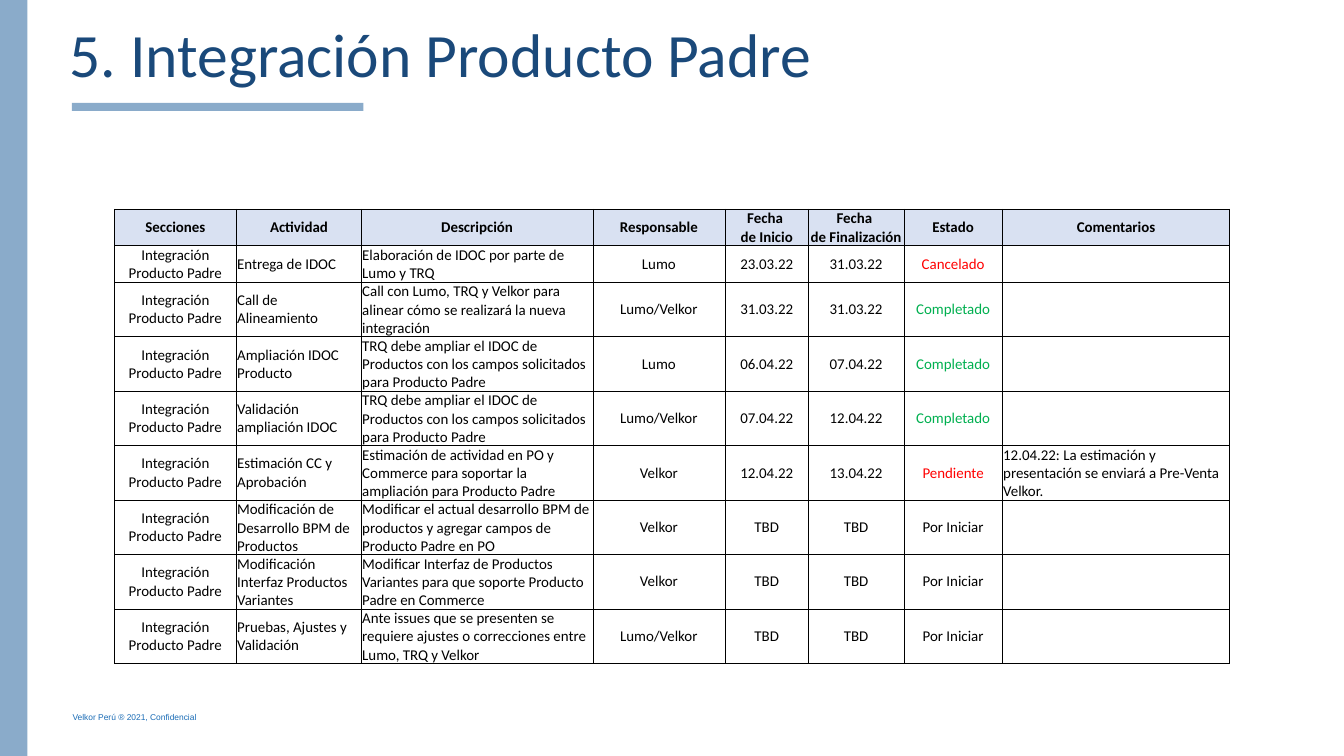
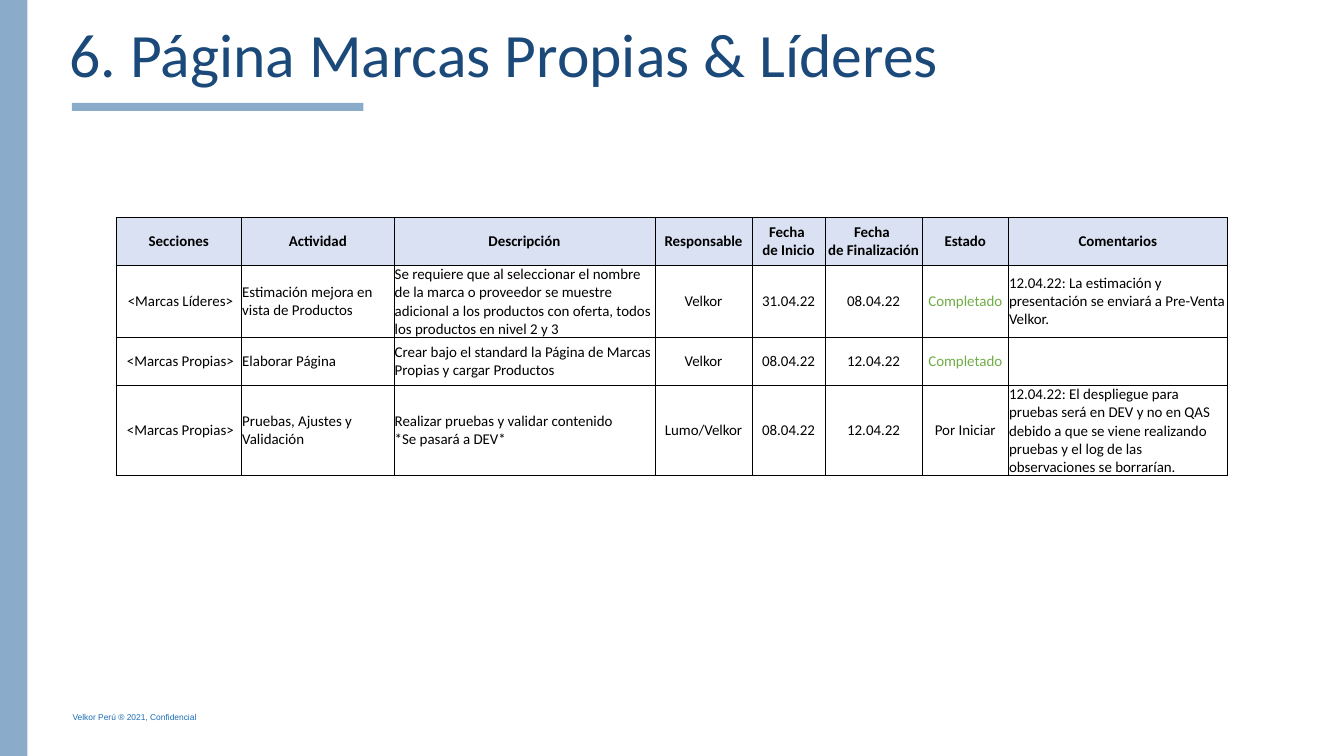
"""Build two project status slides, each with a plan table."""
from lxml import etree
from pptx import Presentation
from pptx.dml import color
from pptx.enum import shapes, text
from pptx.oxml import ns
from pptx.util import Pt

COLORS = {
    "background": "FFFFFF", "band": "8AABCA", "title": "1A497A", "footer": "1A6CB6",
    "header": "D9E1F2", "ink": "000000", "red": "FF0000", "green": "00B050", "soft_green": "70AD47",
}
FOOTER = "Velkor Perú ® 2021, Confidencial"
BANDS = [(77, 110.2, 312.5, 8.6), (-7.2, -4.3, 36.5, 820.8)]
HEADERS = [
    "Secciones", "Actividad", "Descripción", "Responsable",
    "Fecha \vde Inicio", "Fecha \vde Finalización", "Estado", "Comentarios",
]
LEFT_COLUMNS = {"Actividad", "Descripción", "Comentarios"}
PARENT = "Integración Producto Padre"
EXTEND = "TRQ debe ampliar el IDOC de Productos con los campos solicitados para Producto Padre"
ESTIMATE = "12.04.22: La estimación y presentación se enviará a Pre-Venta Velkor."

SLIDES = [
    {
        "title": "5. Integración Producto Padre",
        "origin": (122.4, 223.9),
        "widths": [131, 134, 247.7, 141.8, 89.3, 102.2, 105.8, 243.4],
        "heights": [38.5] * 2 + [58] * 7,
        "status_colors": {"Cancelado": "red", "Pendiente": "red", "Completado": "green"},
        "rows": [
            (PARENT, "Entrega de IDOC", "Elaboración de IDOC por parte de Lumo y TRQ",
             "Lumo", "23.03.22", "31.03.22", "Cancelado", ""),
            (PARENT, "Call de Alineamiento",
             "Call con Lumo, TRQ y Velkor para alinear cómo se realizará la nueva integración",
             "Lumo/Velkor", "31.03.22", "31.03.22", "Completado", ""),
            (PARENT, "Ampliación IDOC Producto", EXTEND,
             "Lumo", "06.04.22", "07.04.22", "Completado", ""),
            (PARENT, "Validación ampliación IDOC", EXTEND,
             "Lumo/Velkor", "07.04.22", "12.04.22", "Completado", ""),
            (PARENT, "Estimación CC y Aprobación",
             "Estimación de actividad en PO y Commerce para soportar la ampliación para Producto Padre",
             "Velkor", "12.04.22", "13.04.22", "Pendiente", ESTIMATE),
            (PARENT, "Modificación de Desarrollo BPM de Productos",
             "Modificar el actual desarrollo BPM de productos y agregar campos de Producto Padre en PO",
             "Velkor", "TBD", "TBD", "Por Iniciar", ""),
            (PARENT, "Modificación Interfaz Productos Variantes",
             "Modificar Interfaz de Productos Variantes para que soporte Producto Padre en Commerce",
             "Velkor", "TBD", "TBD", "Por Iniciar", ""),
            (PARENT, "Pruebas, Ajustes y Validación",
             "Ante issues que se presenten se requiere ajustes o correcciones entre Lumo, TRQ y Velkor",
             "Lumo/Velkor", "TBD", "TBD", "Por Iniciar", ""),
        ],
    },
    {
        "title": "6. Página Marcas Propias & Líderes",
        "origin": (124.2, 232.6),
        "widths": [134.6, 163.4, 279.4, 104.4, 77.8, 104.4, 92.2, 234.7],
        "heights": [51.1, 77.4, 51.1, 96.8],
        "status_colors": {"Completado": "soft_green"},
        "rows": [
            (" <Marcas Líderes>", "Estimación mejora en vista de Productos",
             "Se requiere que al seleccionar el nombre de la marca o proveedor se muestre "
             "adicional a los productos con oferta, todos los productos en nivel 2 y 3",
             "Velkor", "31.04.22", "08.04.22", "Completado", ESTIMATE),
            (" <Marcas Propias>", "Elaborar Página",
             "Crear bajo el standard la Página de Marcas Propias y cargar Productos",
             "Velkor", "08.04.22", "12.04.22", "Completado", ""),
            (" <Marcas Propias>", "Pruebas, Ajustes y Validación",
             "Realizar pruebas y validar contenido\n*Se pasará a DEV*",
             "Lumo/Velkor", "08.04.22", "12.04.22", "Por Iniciar",
             "12.04.22: El despliegue para pruebas será en DEV y no en QAS debido a que se viene "
             "realizando pruebas y el log de las observaciones se borrarían."),
        ],
    },
]


def rgb(name):
    return color.RGBColor.from_string(COLORS[name])


def style_font(font, name, size, ink, bold=False):
    font.name, font.size, font.bold = name, Pt(size), bold
    font.color.rgb = rgb(ink)


def add_label(slide, box, content, font_name, size, ink, wrap):
    frame = slide.shapes.add_textbox(*map(Pt, box)).text_frame
    frame.text = content
    frame.word_wrap = wrap
    frame.auto_size = text.MSO_AUTO_SIZE.SHAPE_TO_FIT_TEXT
    style_font(frame.paragraphs[0].runs[0].font, font_name, size, ink)


def add_frame(slide, title):
    slide.background.fill.solid()
    slide.background.fill.fore_color.rgb = rgb("background")
    for box in BANDS:
        band = slide.shapes.add_shape(shapes.MSO_SHAPE.RECTANGLE, *map(Pt, box))
        band.shadow.inherit = False
        band.fill.solid()
        band.fill.fore_color.rgb = rgb("band")
        band.line.fill.background()
    add_label(slide, (70.6, 759.6, 151.9, 18), FOOTER, "Arial", 9, "footer", False)
    add_label(slide, (67.7, 13.7, 1079.3, 87.1), title, "Calibri", 66, "title", True)


def add_borders(cell):
    properties = cell._tc.get_or_add_tcPr()
    for position, side in enumerate(("lnL", "lnR", "lnT", "lnB")):
        line = etree.Element(ns.qn(f"a:{side}"), w=str(Pt(0.5)))
        fill = etree.SubElement(line, ns.qn("a:solidFill"))
        etree.SubElement(fill, ns.qn("a:srgbClr"), val=COLORS["ink"])
        properties.insert(position, line)


def fill_cell(cell, content, centered, ink, is_header):
    cell.text_frame.text = content
    cell.vertical_anchor = text.MSO_ANCHOR.MIDDLE
    cell.margin_left = cell.margin_right = cell.margin_top = Pt(0.75)
    cell.margin_bottom = 0
    if is_header:
        cell.fill.solid()
        cell.fill.fore_color.rgb = rgb("header")
    else:
        cell.fill.background()
    for paragraph in cell.text_frame.paragraphs:
        paragraph.alignment = text.PP_ALIGN.CENTER if centered else text.PP_ALIGN.LEFT
        if not paragraph.runs:
            paragraph.font.size = Pt(16)
        for run in paragraph.runs:
            style_font(run.font, "Calibri", 16, ink, is_header)
    add_borders(cell)


def add_plan(slide, plan):
    rows = [HEADERS] + plan["rows"]
    widths, heights = plan["widths"], plan["heights"]
    box = (*plan["origin"], sum(widths), sum(heights))
    table = slide.shapes.add_table(len(rows), len(HEADERS), *map(Pt, box)).table
    table.first_row = table.horz_banding = False
    for column, width in zip(table.columns, widths):
        column.width = Pt(width)
    for row_index, (row, height) in enumerate(zip(rows, heights)):
        table.rows[row_index].height = Pt(height)
        is_header = row_index == 0
        for column_index, (header, content) in enumerate(zip(HEADERS, row)):
            centered = is_header or header not in LEFT_COLUMNS
            ink = plan["status_colors"].get(content, "ink")
            fill_cell(table.cell(row_index, column_index), content, centered, ink, is_header)


def main():
    presentation = Presentation()
    presentation.slide_width, presentation.slide_height = Pt(1440), Pt(810)
    for plan in SLIDES:
        slide = presentation.slides.add_slide(presentation.slide_layouts[6])
        add_frame(slide, plan["title"])
        add_plan(slide, plan)
    presentation.save("out.pptx")


if __name__ == "__main__":
    main()
